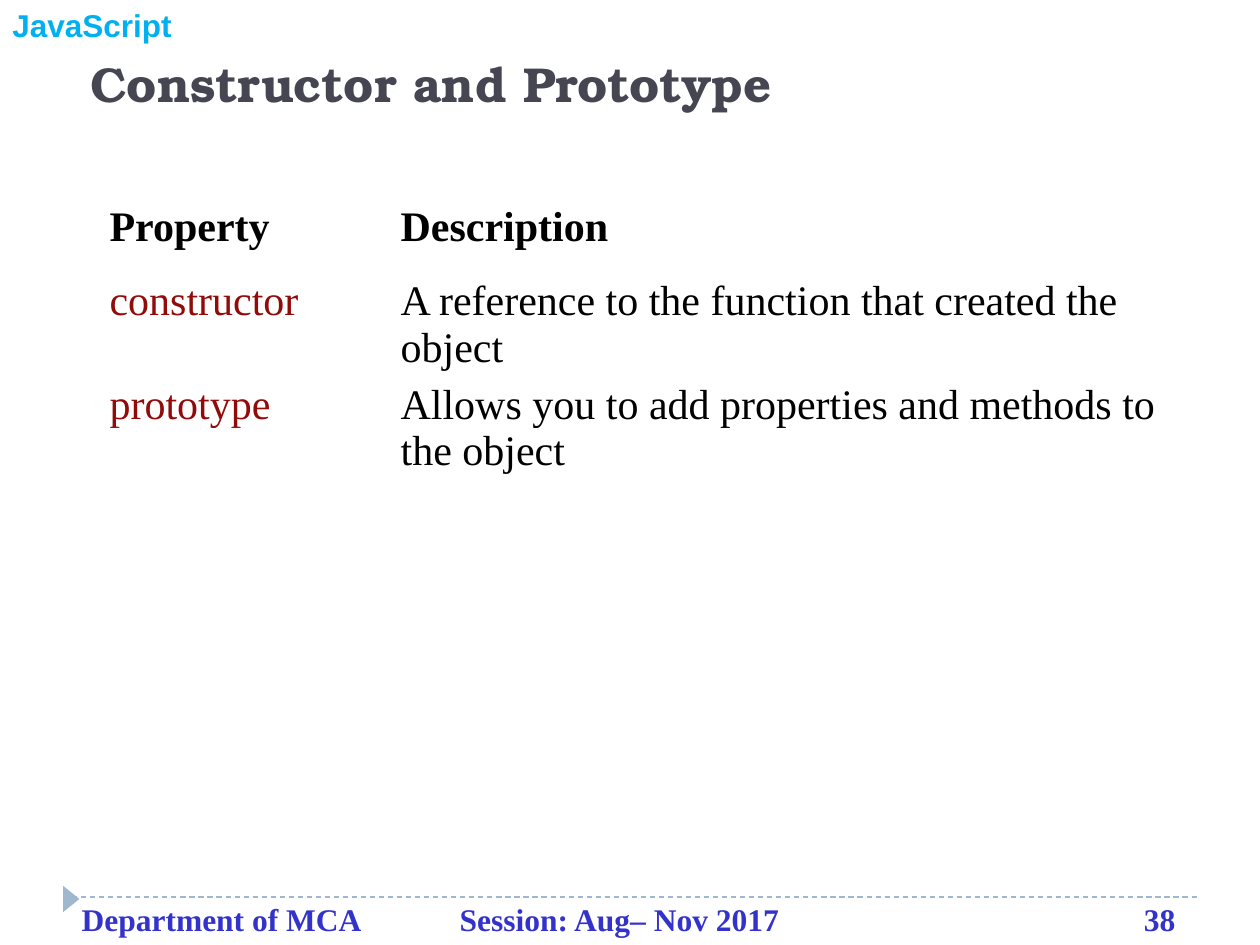
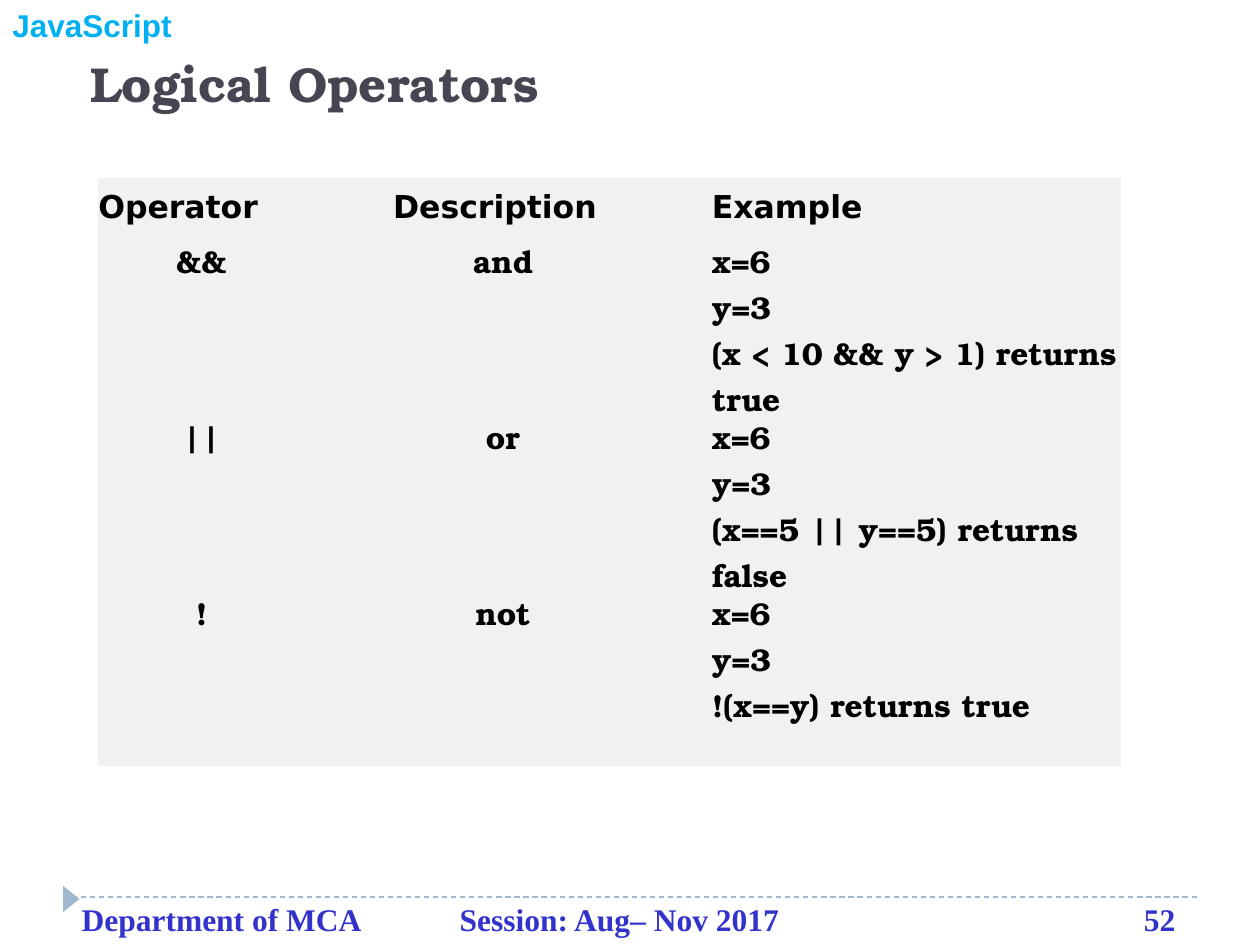
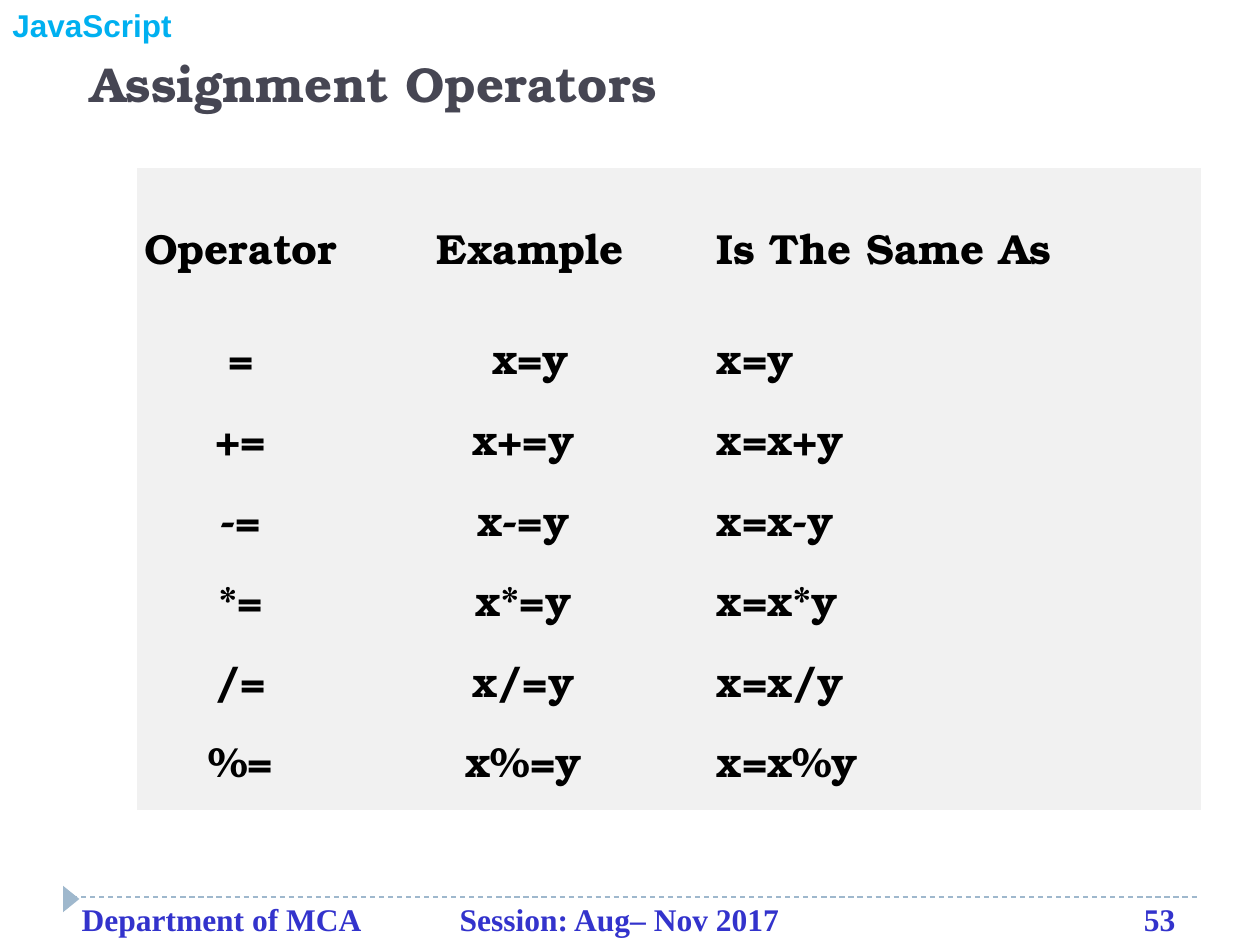
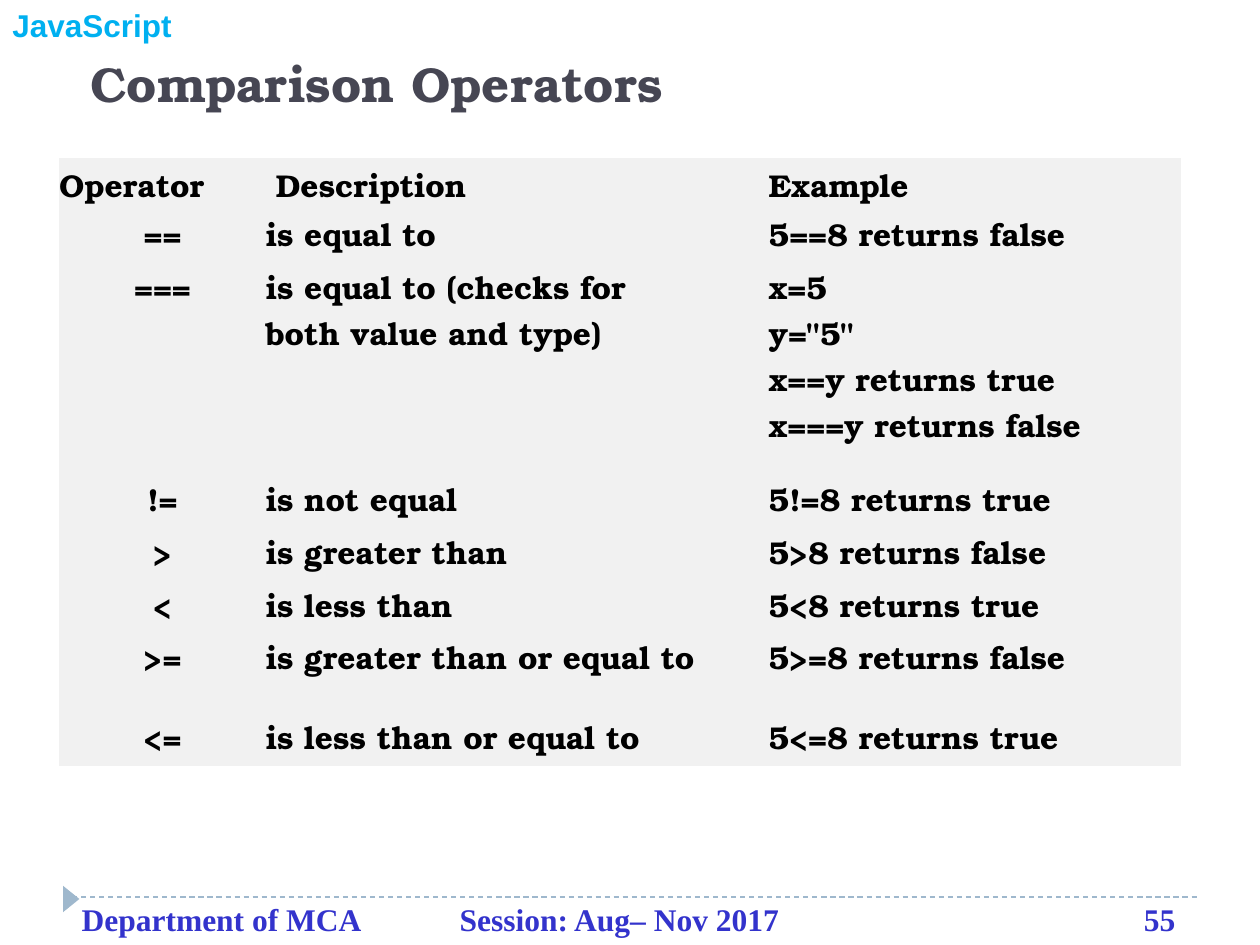
import lxml.etree
import pptx
import pptx.dml.color
import pptx.enum.dml
import pptx.enum.shapes
import pptx.enum.text
import pptx.oxml.ns
import pptx.util

Inches = pptx.util.Inches
Pt = pptx.util.Pt
RGBColor = pptx.dml.color.RGBColor
Align = pptx.enum.text.PP_ALIGN
Anchor = pptx.enum.text.MSO_ANCHOR
Shape = pptx.enum.shapes.MSO_SHAPE
qn = pptx.oxml.ns.qn

BLACK = RGBColor(0x00, 0x00, 0x00)
SLATE = RGBColor(0x46, 0x46, 0x53)
SKY = RGBColor(0x00, 0xB0, 0xF0)
BLUE = RGBColor(0x33, 0x33, 0xCC)
STEEL = RGBColor(0x9F, 0xB8, 0xCD)
RED = RGBColor(0x90, 0x0B, 0x09)
GREY = RGBColor(0xF1, 0xF1, 0xF1)

SERIF = "Times New Roman"
SANS = "Arial"
BOOK = "TeX Gyre Bonum"
WIDE = "DejaVu Sans"

PLAIN_GRID = "{2D5ABB26-0587-4C30-8999-92F81FD0307C}"
LEFT, MID, FULL = Align.LEFT, Align.CENTER, Align.JUSTIFY


class Deck:
    """Holds the shared style and the slide being filled."""

    def __init__(self):
        self.show = pptx.Presentation()
        self.show.slide_width = Inches(10)
        self.show.slide_height = Inches(7.5)
        self.slide = None

    def page(self, title, number):
        self.slide = self.show.slides.add_slide(self.show.slide_layouts[6])
        self.rule()
        self.marker()
        self.label(0, 0, 1.48, 0.4, "JavaScript", SANS, 18, SKY)
        foot = self.label(0.55, 7.09, 9.17, 0.4,
                          f"Department of MCA\tSession: Aug– Nov 2017\t{number}",
                          SERIF, 18, BLUE)
        self.stops(foot, (3, "l"), (8.68, "r"))
        self.label(0.62, 0.17, 9.14, 0.77, title, BOOK, 28, SLATE, Anchor.BOTTOM)

    def rule(self):
        line = self.slide.shapes.add_connector(
            pptx.enum.shapes.MSO_CONNECTOR.STRAIGHT,
            Inches(0.5), Inches(7.12), Inches(9.5), Inches(7.12))
        line.line.color.rgb = STEEL
        line.line.width = Pt(0.75)
        line.line.dash_style = pptx.enum.dml.MSO_LINE.DASH
        props = line._element.find(qn("p:spPr"))
        lxml.etree.SubElement(props, qn("a:effectLst"))

    def marker(self):
        mark = self.slide.shapes.add_shape(
            Shape.ISOSCELES_TRIANGLE,
            Inches(0.46), Inches(7.07), Inches(0.21), Inches(0.13))
        mark.rotation = 90
        mark.shadow.inherit = False
        mark.fill.solid()
        mark.fill.fore_color.rgb = STEEL
        mark.line.fill.background()

    def label(self, left, top, width, height, text, font, size, color,
              anchor=Anchor.TOP):
        box = self.slide.shapes.add_textbox(
            Inches(left), Inches(top), Inches(width), Inches(height))
        frame = box.text_frame
        frame.word_wrap = True
        frame.vertical_anchor = anchor
        para = frame.paragraphs[0]
        self.add_runs(para, text, font, size, color)
        return para

    def stops(self, para, *places):
        """Add tab stops, given as (inches, alignment)."""
        tabs = lxml.etree.SubElement(para._p.get_or_add_pPr(), qn("a:tabLst"))
        for place, align in places:
            lxml.etree.SubElement(tabs, qn("a:tab"),
                                  pos=str(Inches(place)), algn=align)

    def add_runs(self, para, text, font, size, color, bold=True):
        """Add one run per line of text, with a break between lines."""
        for i, part in enumerate(text.split("\n")):
            if i:
                para.add_line_break()
            run = para.add_run()
            run.text = part
            run.font.name = font
            run.font.size = Pt(size)
            run.font.bold = bold
            run.font.color.rgb = color

    def grid(self, left, top, cols, rows, data, size, font, head_font=None,
             head=(LEFT,) * 3, body=(LEFT,) * 3, fill=GREY, inset=0,
             first=BLACK, bold=True, shift=0):
        """Draw a table; first colours the first column's body text and
        shift indents the second heading."""
        frame = self.slide.shapes.add_table(
            len(rows), len(cols), Inches(left), Inches(top),
            Inches(sum(cols)), Inches(sum(rows)))
        table = frame.table
        table.first_row = table.horz_banding = False
        table._tbl.tblPr.find(qn("a:tableStyleId")).text = PLAIN_GRID
        for col, width in zip(table.columns, cols):
            col.width = Inches(width)
        for row, height in zip(table.rows, rows):
            row.height = Inches(height)
        for r, line in enumerate(data):
            for c, text in enumerate(line):
                cell = table.cell(r, c)
                self.dress(cell, fill, inset)
                if r == 0:
                    cell.vertical_anchor = Anchor.MIDDLE
                    if c == 1:
                        cell.margin_left = Inches(inset + shift)
                    self.enter(cell, text, head[c],
                               (head_font or font, size, BLACK, True))
                else:
                    color = BLACK if c else first
                    self.enter(cell, text, body[c], (font, size, color, bold))

    def dress(self, cell, fill, inset):
        cell.margin_left = cell.margin_right = Inches(inset)
        cell.margin_top = cell.margin_bottom = Inches(inset)
        if fill is None:
            cell.fill.background()
        else:
            cell.fill.solid()
            cell.fill.fore_color.rgb = fill

    def enter(self, cell, text, align, style):
        """Put in a string, or a tuple with one string per paragraph."""
        parts = (text,) if isinstance(text, str) else text
        frame = cell.text_frame
        for i, part in enumerate(parts):
            para = frame.add_paragraph() if i else frame.paragraphs[0]
            para.alignment = LEFT if "\n" in part else align
            self.add_runs(para, part, *style)


def main():
    deck = Deck()

    deck.page("Constructor and Prototype", 38)
    deck.grid(0.86, 1.41, [2.31, 6.28], [0.79, 0.82, 0.82], [
        ("Property", "Description"),
        ("constructor", "A reference to the function that created the object"),
        ("prototype", "Allows you to add properties and methods to the object"),
    ], 24, SERIF, fill=None, inset=0.01, first=RED, bold=False)

    deck.page("Logical Operators", 52)
    values = "x=6\ny=3"
    deck.grid(0.78, 1.41, [1.64, 3.23, 3.25], [0.47] + [1.4] * 3, [
        ("Operator", "Description", "Example"),
        ("&&", "and ", (values, "(x < 10 && y > 1) returns true")),
        ("||", "or ", (values, "(x==5 || y==5) returns false")),
        ("!", "not ", (values, "!(x==y) returns true")),
    ], 18, BOOK, WIDE, head=(FULL, FULL, LEFT), body=(MID, MID, LEFT), shift=0.7)

    deck.page("Assignment Operators", 53)
    aligns = (MID, MID, FULL)
    deck.grid(1.09, 1.33, [1.64, 2.96, 3.84], [1.26] + [0.64] * 6, [
        ("Operator", "Example", "Is The Same As"),
        ("=", "x=y", "x=y"),
        *((f"{sign}=", f"x{sign}=y ", f"x=x{sign}y") for sign in "+-*/%"),
    ], 24, BOOK, head=aligns, body=aligns)

    deck.page("Comparison Operators", 55)
    heights = [0.42, 0.42, 1.68, 0.42, 0.42, 0.42, 0.63, 0.42]
    deck.grid(0.47, 1.25, [1.64, 3.99, 3.27], heights, [
        ("Operator", "Description", "Example"),
        ("==", "is equal to", "5==8 returns false"),
        ("===", ("is equal to (checks for", "both value and type)"),
         ("x=5\ny=\"5\"", "x==y returns true\nx===y returns false")),
        ("!=", "is not equal", "5!=8 returns true"),
        (">", "is greater than", "5>8 returns false"),
        ("<", "is less than", "5<8 returns true"),
        (">=", "is greater than or equal to", "5>=8 returns false"),
        ("<=", "is less than or equal to", "5<=8 returns true"),
    ], 18, BOOK, head=(FULL,) * 3, body=(MID, FULL, FULL), shift=0.08)

    deck.show.save("out.pptx")


if __name__ == "__main__":
    main()
